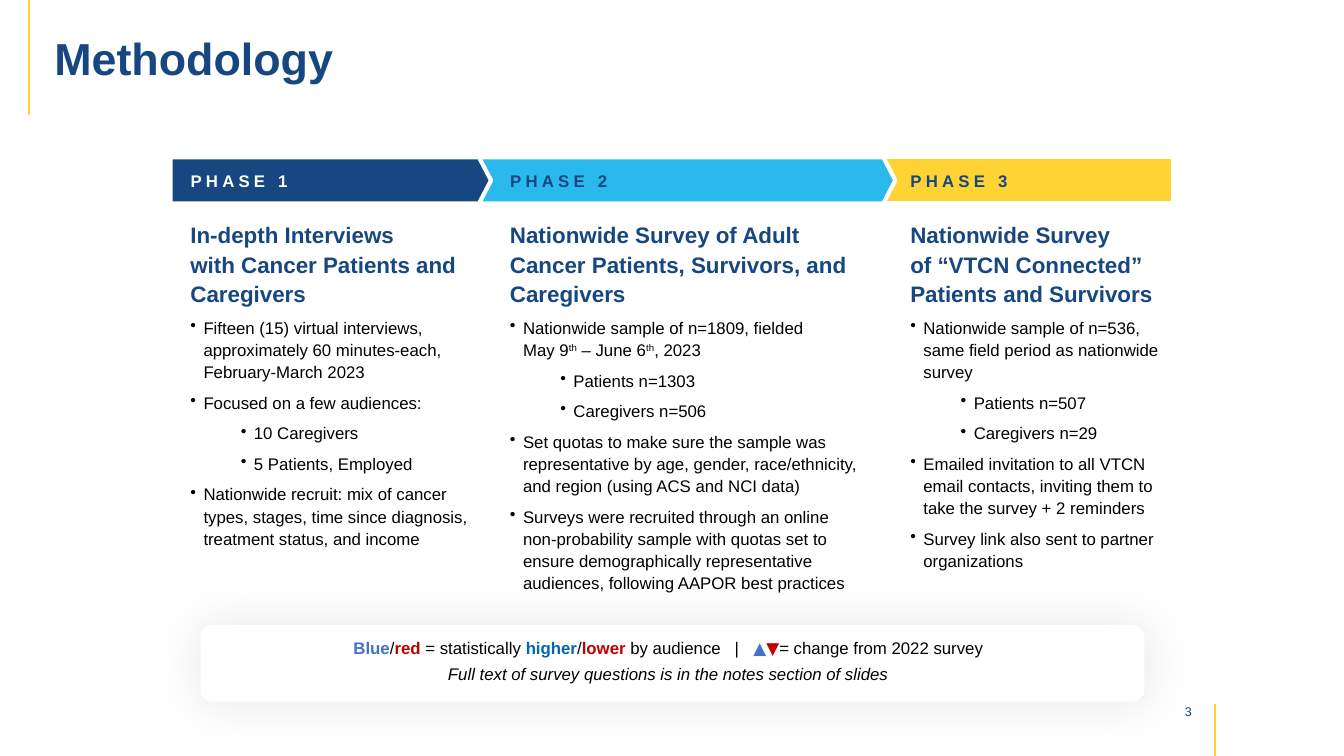
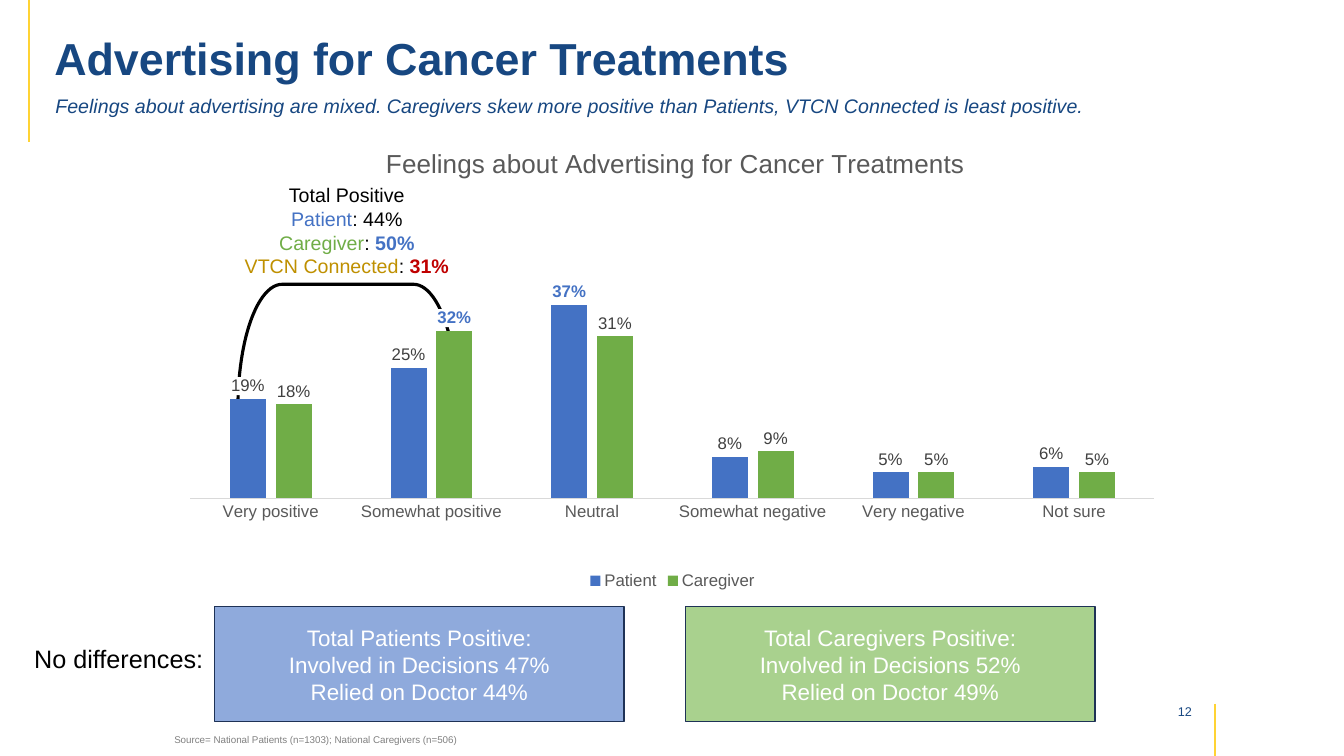
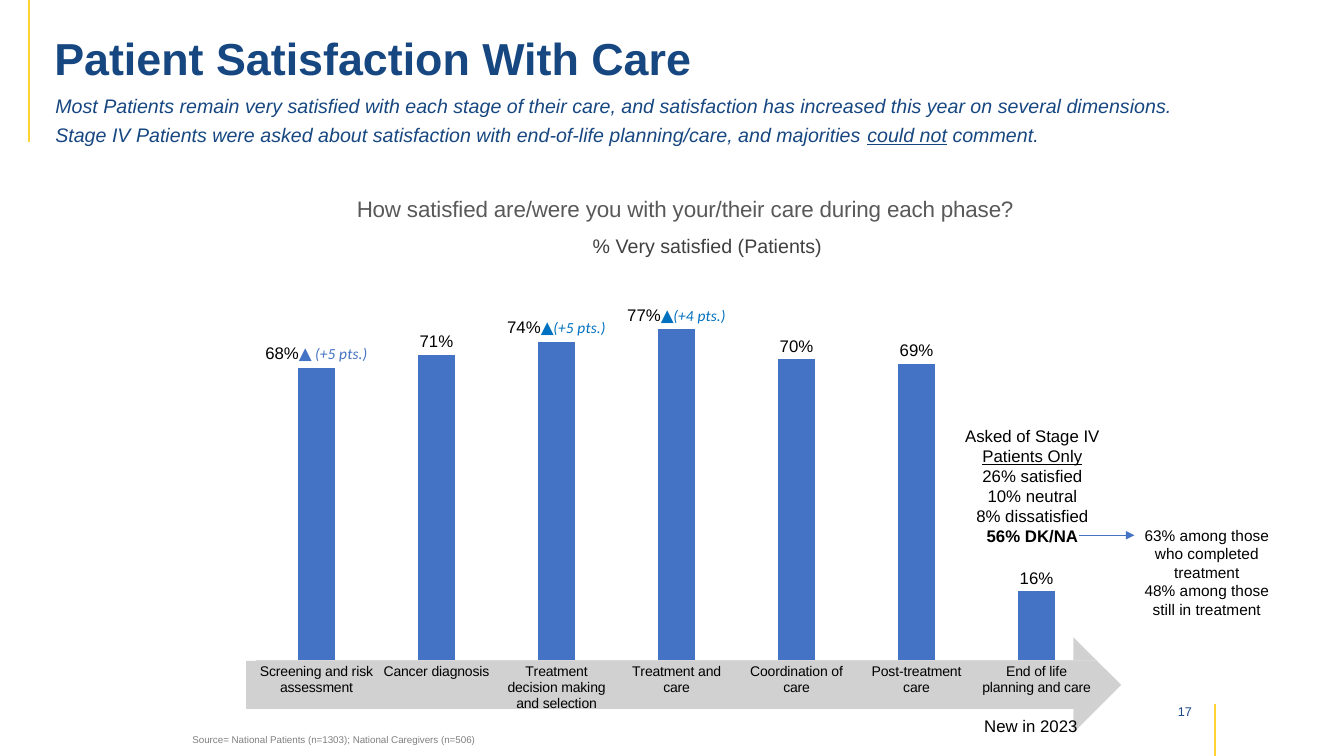
from collections import namedtuple

from lxml.etree import SubElement
from pptx import Presentation
from pptx.chart.data import CategoryChartData
from pptx.dml.color import RGBColor
from pptx.enum.chart import XL_CHART_TYPE, XL_LABEL_POSITION, XL_LEGEND_POSITION, XL_TICK_MARK
from pptx.enum.shapes import MSO_CONNECTOR, MSO_SHAPE
from pptx.enum.text import MSO_ANCHOR, PP_ALIGN
from pptx.oxml import parse_xml
from pptx.oxml.ns import nsdecls, qn
from pptx.util import Pt

PX = 9144  # EMU in one px, 100 px to the inch
FONT = "Arial"
NAVY, YELLOW, SKY = "174781", "FFD334", "29B9EB"
BLUE, GREEN, RED, GOLD = "4472C4", "70AD47", "C00000", "BF9000"
BLACK, WHITE, GREY, SOURCE_GREY = "000000", "FFFFFF", "595959", "808080"
RISE_BLUE = "0070C0"
SOURCE = "Source= National Patients (n=1303); National Caregivers (n=506)"

Box = namedtuple("Box", "left top width height")


def emu(box):
    return [length * PX for length in box]


def rgb(colour):
    return RGBColor.from_string(colour)


def add_xml(parent, tag, **attributes):
    return SubElement(parent, qn(tag), attributes)


def set_font(font, size=None, colour=None, bold=None, italic=None, underline=None, name=None):
    if size:
        font.size = Pt(size)
    if colour:
        font.color.rgb = rgb(colour)
    if name:
        font.name = name
    for key, value in (("bold", bold), ("italic", italic), ("underline", underline)):
        if value is not None:
            setattr(font, key, value)


def add_spans(para, spans):
    """Add runs; a span is a string or a (text, style) pair, and a newline breaks the line."""
    for item in [spans] if isinstance(spans, str) else spans:
        text, style = (item, {}) if isinstance(item, str) else item
        style = dict(style)
        raw = {key: style.pop(key) for key in ("spc", "baseline") if key in style}
        for index, piece in enumerate(text.split("\n")):
            if index:
                para.add_line_break()
            span = para.add_run()
            span.text = piece
            set_font(span.font, **style)
            for key, value in raw.items():
                span._r.get_or_add_rPr().set(key, value)


def write(frame, paras, size, colour, align=PP_ALIGN.LEFT, before=0, after=0, spacing=1.0, **style):
    for index, spans in enumerate(paras):
        para = frame.paragraphs[0] if index == 0 else frame.add_paragraph()
        para.alignment, para.line_spacing = align, spacing
        para.space_before, para.space_after = Pt(before), Pt(after)
        set_font(para.font, size, colour, name=FONT, **style)
        add_spans(para, spans)
    return frame


def text(page, box, paras, size, colour, wrap=True, anchor=MSO_ANCHOR.TOP, **style):
    frame = page.shapes.add_textbox(*emu(box)).text_frame
    frame.word_wrap, frame.vertical_anchor = wrap, anchor
    return write(frame, paras, size, colour, **style)


def shape(page, kind, box, fill=None, line=None, width=1, adjust=None):
    item = page.shapes.add_shape(kind, *emu(box))
    item.shadow.inherit = False
    if fill:
        item.fill.solid()
        item.fill.fore_color.rgb = rgb(fill)
    else:
        item.fill.background()
    if line:
        item.line.color.rgb = rgb(line)
        item.line.width = Pt(width)
    else:
        item.line.fill.background()
    if adjust is not None:
        item.adjustments[0] = adjust
    return item


def line(page, start, end, colour, width, arrow=False):
    item = page.shapes.add_connector(MSO_CONNECTOR.STRAIGHT, *emu(start + end))
    item.line.color.rgb = rgb(colour)
    item.line.width = Pt(width)
    if arrow:
        add_xml(item.line._get_or_add_ln(), "a:tailEnd", type="triangle")
    add_xml(item._element.spPr, "a:effectLst")


def new_page(deck, title, number, subtitle=(), rule_end=141):
    page = deck.slides.add_slide(deck.slide_layouts[6])
    line(page, (29, 0), (29, rule_end), YELLOW, 1.5)
    line(page, (1205, 698), (1205, 750), YELLOW, 1.5)
    text(page, Box(1133, 693, 59, 25), [number], 9, NAVY, align=PP_ALIGN.RIGHT)
    text(page, Box(44, 23, 1239, 76), [title], 32, NAVY, anchor=MSO_ANCHOR.MIDDLE,
         spacing=0.9, bold=True)
    if subtitle:
        text(page, Box(45, 88, 1235, 76), subtitle, 14, NAVY, before=4, italic=True)
    return page


def source_note(page, left):
    text(page, Box(left, 723, 625, 22), [SOURCE], 7, SOURCE_GREY)


# Methodology

def phase_column(page, box, label, fill, colour, inset, point, text_width, heading, bullets):
    """Place a phase banner and its text; bullets are (level, spans) pairs."""
    body = Box(box.left + inset - 10, box.top + 56, text_width, 384)
    frame = text(page, body, [heading], 16, NAVY, before=6, spacing=1.1, bold=True)
    for level, spans in bullets:
        para = frame.add_paragraph()
        para.level, para.line_spacing, para.space_before = level, 1.1, Pt(6)
        set_font(para.font, 12, BLACK, name=FONT)
        add_spans(para, spans)
        properties = para._p.get_or_add_pPr()
        properties.set("marL", str((13 + 50 * level) * PX))
        properties.set("indent", str(-13 * PX))
        bullet = parse_xml(f'<a:buChar {nsdecls("a")} char="•"/>')
        properties.find(qn("a:defRPr")).addprevious(bullet)
    banner = shape(page, MSO_SHAPE.PENTAGON, box, fill, WHITE, 3, point)
    banner.text_frame.margin_left = inset * PX
    banner.text_frame.vertical_anchor = MSO_ANCHOR.MIDDLE
    write(banner.text_frame, [[(label, {"spc": "300"})]], 12, colour, bold=True)


def key_panel(page, box):
    panel = shape(page, MSO_SHAPE.ROUNDED_RECTANGLE, box, WHITE, adjust=0.15)
    effects = panel._element.spPr.find(qn("a:effectLst"))
    glow = add_xml(effects, "a:outerShdw", blurRad=str(Pt(35)), dist="0", dir="0",
                   algn="ctr", rotWithShape="0")
    add_xml(add_xml(glow, "a:srgbClr", val=BLACK), "a:alpha", val="10000")
    red = {"colour": RED, "bold": True}
    text(page, Box(box.left + 42, box.top + 8, box.width - 92, box.height), [
        [("Blue", {"colour": BLUE, "bold": True}), "/", ("red ", red), "= statistically ",
         ("higher", {"colour": "0067B1", "bold": True}), "/", ("lower ", red),
         "by audience   |   ", ("▲", {"colour": BLUE, "name": "Calibri"}),
         ("▼", {"colour": RED, "name": "Calibri"}), "= change from 2022 survey"],
        [("Full text of survey questions is in the notes section of slides", {"italic": True})],
    ], 12, BLACK, align=PP_ALIGN.CENTER, after=4)


def methodology(deck):
    page = new_page(deck, "Methodology", "3", rule_end=114)
    key_panel(page, Box(199, 620, 936, 76))
    raised = ("th", {"baseline": "30000"})
    phase_column(page, Box(873, 156, 291, 46), "PHASE 3", YELLOW, NAVY, 30, 0, 272,
                 "Nationwide Survey\nof “VTCN Connected” Patients and Survivors", [
                     (0, "Nationwide sample of n=536, same field period as nationwide survey"),
                     (1, "Patients n=507"),
                     (1, "Caregivers n=29"),
                     (0, "Emailed invitation to all VTCN email contacts, inviting them to "
                         "take the survey + 2 reminders"),
                     (0, "Survey link also sent to partner organizations")])
    phase_column(page, Box(476, 156, 412, 46), "PHASE 2", SKY, NAVY, 30, 0.26, 374,
                 "Nationwide Survey of Adult Cancer Patients, Survivors, and Caregivers", [
                     (0, ["Nationwide sample of n=1809, fielded\nMay 9", raised,
                          " – June 6", raised, ", 2023"]),
                     (1, "Patients n=1303"),
                     (1, "Caregivers n=506"),
                     (0, "Set quotas to make sure the sample was representative by age, gender, "
                         "race/ethnicity, and region (using ACS and NCI data)"),
                     (0, "Surveys were recruited through an online non-probability sample with "
                         "quotas set to ensure demographically representative audiences, "
                         "following AAPOR best practices")])
    phase_column(page, Box(169, 156, 318, 46), "PHASE 1", NAVY, WHITE, 20, 0.26, 309,
                 "In-depth Interviews\nwith Cancer Patients and Caregivers", [
                     (0, "Fifteen (15) virtual interviews, approximately 60 minutes-each, "
                         "February-March 2023"),
                     (0, "Focused on a few audiences:"),
                     (1, "10 Caregivers"),
                     (1, "5 Patients, Employed"),
                     (0, "Nationwide recruit: mix of cancer types, stages, time since diagnosis, "
                         "treatment status, and income")])


# Charts

def manual_layout(x, y, width=None, height=None):
    parts = [("xMode", "edge"), ("yMode", "edge"), ("x", x), ("y", y), ("w", width), ("h", height)]
    if width:
        parts.insert(0, ("layoutTarget", "inner"))
    inner = "".join(f'<c:{tag} val="{value}"/>' for tag, value in parts if value is not None)
    return parse_xml(f'<c:layout {nsdecls("c")}><c:manualLayout>{inner}'
                     '</c:manualLayout></c:layout>')


def plain_fill(colour=None):
    fill = f'<a:solidFill><a:srgbClr val="{colour}"/></a:solidFill>' if colour else "<a:noFill/>"
    return parse_xml(f'<c:spPr {nsdecls("c", "a")}>{fill}<a:ln><a:noFill/></a:ln></c:spPr>')


def column_chart(page, box, categories, series, colours, title, title_size, title_at,
                 plot_at, top, overlap, axis_size, axis_colour, label_colour):
    data = CategoryChartData(number_format="0%")
    data.categories = categories
    for name, values in series:
        data.add_series(name, values)
    chart = page.shapes.add_chart(XL_CHART_TYPE.COLUMN_CLUSTERED, *emu(box), data).chart
    set_font(chart.font, 10, BLACK, name=FONT)
    chart.has_legend = False

    heading = chart.chart_title.text_frame
    write(heading, [title], title_size, GREY, align=PP_ALIGN.CENTER, bold=False)
    title_xml = chart.chart_title._element
    for old in title_xml.findall(qn("c:layout")):
        title_xml.remove(old)
    title_xml.find(qn("c:tx")).addnext(manual_layout(*title_at))

    values_axis, names_axis = chart.value_axis, chart.category_axis
    values_axis.minimum_scale, values_axis.maximum_scale = 0, top
    values_axis.has_major_gridlines = False
    values_axis.visible = False
    names_axis.major_tick_mark = XL_TICK_MARK.NONE
    names_axis.format.line.color.rgb = rgb("D9D9D9")
    names_axis.format.line.width = Pt(0.75)
    set_font(names_axis.tick_labels.font, axis_size, axis_colour, name=FONT)
    names_axis._element.find(qn("c:txPr")).find(qn("a:bodyPr")).set("rot", "-60000000")

    plot = chart.plots[0]
    plot.gap_width, plot.overlap, plot.vary_by_categories = 219, overlap, False
    for bars, colour in zip(plot.series, colours):
        bars.format.fill.solid()
        bars.format.fill.fore_color.rgb = rgb(colour)
        labels = bars.data_labels
        labels.show_value = True
        labels.number_format, labels.number_format_is_linked = "0%", False
        labels.position = XL_LABEL_POSITION.OUTSIDE_END
        set_font(labels.font, 12, label_colour, name=FONT)

    space = chart._chartSpace
    space.find(qn("c:txPr")).addprevious(plain_fill())
    area = space.find(qn("c:chart")).find(qn("c:plotArea"))
    for old in area.findall(qn("c:layout")):
        area.remove(old)
    area.insert(0, manual_layout(*plot_at))
    area.append(plain_fill())
    return chart


def feelings_chart(page, box):
    chart = column_chart(
        page, box,
        ["Very positive", "Somewhat positive", "Neutral", "Somewhat negative",
         "Very negative", "Not sure"],
        [("Patient", [0.19, 0.25, 0.37, 0.08, 0.05, 0.06]),
         ("Caregiver", [0.18, 0.32, 0.31, 0.09, 0.05, 0.05])],
        [BLUE, GREEN], "Feelings about Advertising for Cancer Treatments", 18.6,
        (0.21, 0.05), (0.02, 0.14, 0.96, 0.66), 0.6, -27, 12, GREY, "404040")
    chart.has_legend = True
    chart.legend.position = XL_LEGEND_POSITION.BOTTOM
    chart.legend.include_in_layout = False
    set_font(chart.legend.font, 12, GREY, name=FONT)
    for bars, point in zip(chart.plots[0].series, (2, 1)):
        label = bars.points[point].data_label
        set_font(label.font, 12, BLUE, bold=True, name=FONT)
        label.position = XL_LABEL_POSITION.OUTSIDE_END
    for properties in chart._chartSpace.xpath(".//c:dLbls/c:txPr | .//c:dLbl/c:txPr"):
        properties.addprevious(plain_fill(WHITE))


def total_box(page, box, fill, paras):
    panel = shape(page, MSO_SHAPE.RECTANGLE, box, fill, "1E3256")
    panel.text_frame.vertical_anchor = MSO_ANCHOR.MIDDLE
    write(panel.text_frame, paras, 16, WHITE, align=PP_ALIGN.CENTER)


def advertising(deck):
    page = new_page(deck, "Advertising for Cancer Treatments", "12", [
        "Feelings about advertising are mixed. Caregivers skew more positive than Patients, "
        "VTCN Connected is least positive."])
    bracket = shape(page, MSO_SHAPE.RIGHT_BRACKET, Box(284, 234, 122, 218),
                    line=BLACK, width=2.25, adjust=0.36)
    bracket.rotation = 270
    feelings_chart(page, Box(169, 117, 996, 472))
    text(page, Box(213, 177, 262, 104), [
        "Total Positive",
        [("Patient", {"colour": BLUE}), ": 44%"],
        [("Caregiver", {"colour": GREEN}), ": ", ("50%", {"colour": BLUE, "bold": True})],
        [("VTCN Connected", {"colour": GOLD}), ": ", ("31%", {"colour": RED, "bold": True})],
    ], 14, BLACK, align=PP_ALIGN.CENTER)
    totals = [("Patients", "8FAADC", 47, 44), ("Caregivers", "A9D18E", 52, 49)]
    for index, (group, fill, involved, relied) in enumerate(totals):
        total_box(page, Box(213 + 467 * index, 602, 406, 114), fill,
                  [f"Total {group} Positive:", f"Involved in Decisions {involved}%",
                   f"Relied on Doctor {relied}%"])
    source_note(page, 163)
    text(page, Box(24, 633, 189, 40), ["No differences:"], 18, BLACK, wrap=False)


def satisfaction_chart(page, box):
    chart = column_chart(
        page, box,
        ["Screening and risk assessment", "Cancer diagnosis",
         "Treatment decision making and selection", "Treatment and care",
         "Coordination of care", "Post-treatment care", "End of life planning and care"],
        [("Series 1", [0.68, 0.71, 0.74, 0.77, 0.7, 0.69, 0.16])],
        [BLUE], "How satisfied are/were you with your/their care during each phase?", 16,
        (0.13, 0.05), (0.02, 0.12, 0.96, 0.77), 1, -13, 10, BLACK, BLACK)
    changes = [(0, "68%", " (+5 pts.)", BLUE), (2, "74%", "(+5 pts.)", RISE_BLUE),
               (3, "77%", "(+4 pts.)", RISE_BLUE)]
    for point, value, change, colour in changes:
        label = chart.plots[0].series[0].points[point].data_label
        rise = {"size": 12, "colour": colour, "name": "Calibri"}
        write(label.text_frame, [[
            (value, {"size": 12, "colour": BLACK, "name": FONT}), ("▲", rise),
            (change, {**rise, "size": 11, "italic": True})]], 12, BLACK)
        label.position = XL_LABEL_POSITION.OUTSIDE_END


def satisfaction(deck):
    page = new_page(deck, "Patient Satisfaction With Care", "17", [
        "Most Patients remain very satisfied with each stage of their care, and satisfaction "
        "has increased this year on several dimensions.",
        ["Stage IV Patients were asked about satisfaction with end-of-life planning/care, and "
         "majorities ", ("could not", {"underline": True}), " comment."]])
    arrow = shape(page, MSO_SHAPE.RIGHT_ARROW, Box(244, 632, 868, 95), "A5A5A5")
    colour = arrow._element.spPr.find(qn("a:solidFill")).find(qn("a:srgbClr"))
    add_xml(colour, "a:alpha", val="50000")
    satisfaction_chart(page, Box(237, 162, 868, 554))
    source_note(page, 181)
    text(page, Box(578, 227, 249, 34), ["% Very satisfied (Patients)"], 14, "404040", wrap=False)
    text(page, Box(966, 705, 113, 30), ["New in 2023"], 12, BLACK, wrap=False,
         align=PP_ALIGN.CENTER)
    text(page, Box(941, 417, 166, 151), [
        ["Asked of Stage IV ", ("Patients Only", {"underline": True})],
        "26% satisfied", "10% neutral", "8% dissatisfied", [("56% DK/NA", {"bold": True})],
    ], 12, BLACK, align=PP_ALIGN.CENTER)
    text(page, Box(1114, 517, 166, 103), [
        "63% among those who completed treatment", "48% among those still in treatment",
    ], 11, BLACK, align=PP_ALIGN.CENTER)
    line(page, (1070, 531), (1125, 531), BLUE, 0.5, arrow=True)


def main():
    deck = Presentation()
    deck.slide_width, deck.slide_height = 1333 * PX, 750 * PX
    methodology(deck)
    advertising(deck)
    satisfaction(deck)
    deck.save("out.pptx")


if __name__ == "__main__":
    main()
